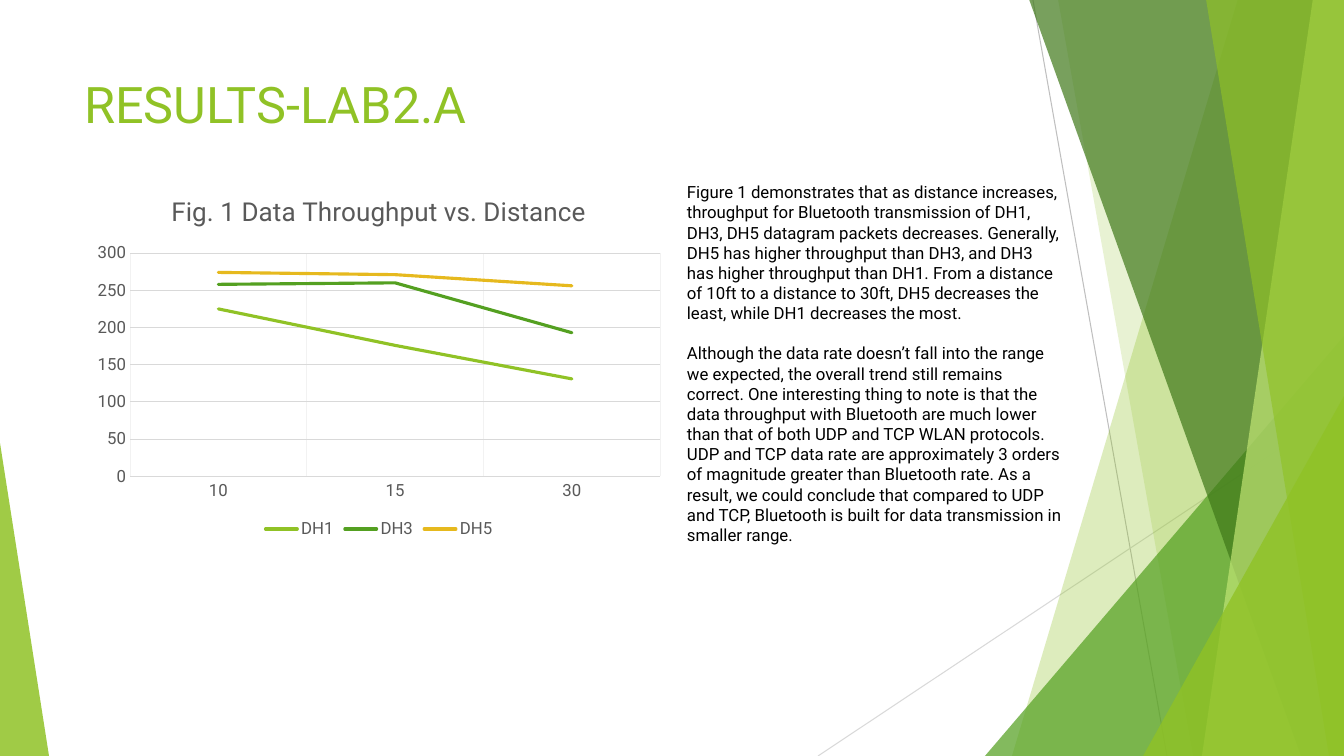
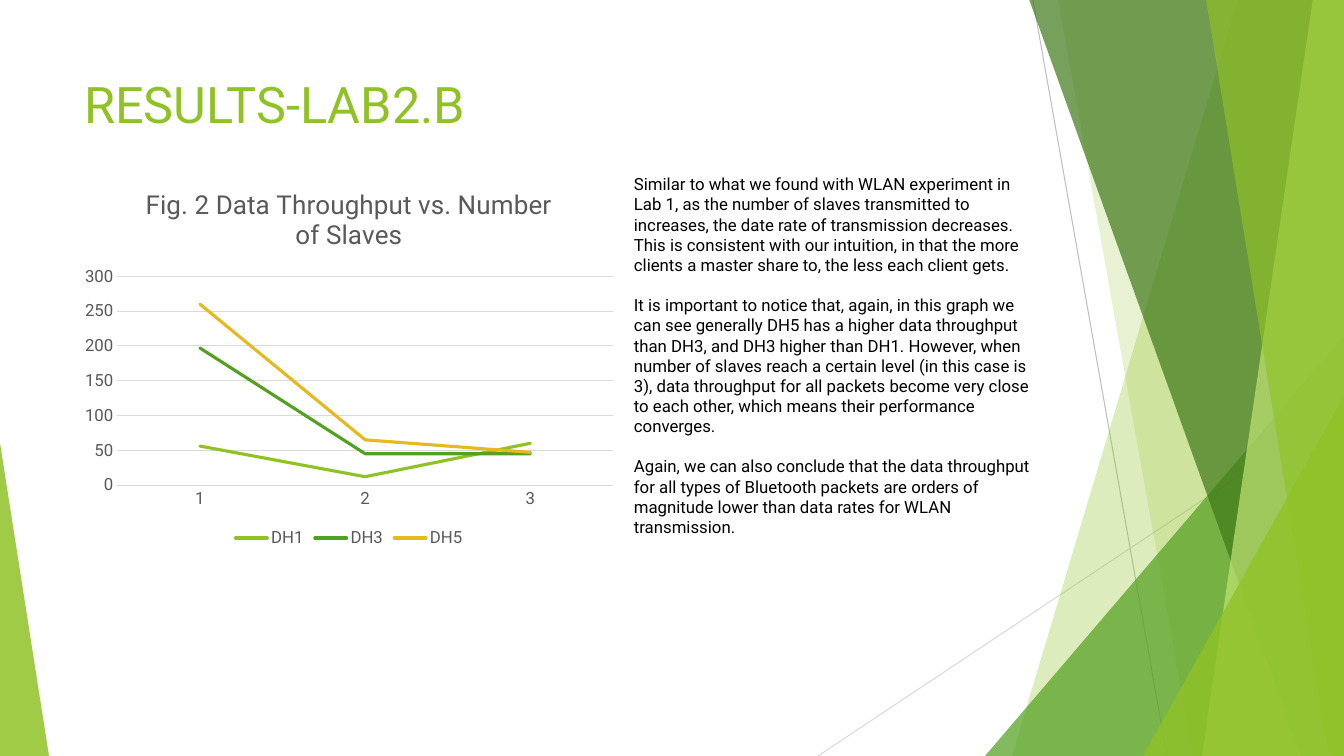
from lxml.etree import SubElement
from pptx import Presentation
from pptx.chart.data import CategoryChartData
from pptx.dml.color import RGBColor
from pptx.enum.chart import XL_CHART_TYPE, XL_LEGEND_POSITION, XL_TICK_MARK
from pptx.enum.shapes import MSO_CONNECTOR, MSO_SHAPE
from pptx.enum.text import MSO_ANCHOR, PP_ALIGN
from pptx.oxml.ns import qn
from pptx.util import Emu, Pt

SCALE = 12192000 / 1344
WIDTH, HEIGHT = 1344, 756
FONT = "Roboto"
LIME = RGBColor(0x90, 0xC2, 0x26)
GREEN = RGBColor(0x54, 0xA0, 0x21)
FOREST = RGBColor(0x3F, 0x78, 0x19)
PALE_LIME = RGBColor(0xC0, 0xE4, 0x74)
GOLD = RGBColor(0xE6, 0xB9, 0x1E)
BLACK = RGBColor(0, 0, 0)
GRAY = RGBColor(0x59, 0x59, 0x59)
RULE_GRAY = RGBColor(0xBF, 0xBF, 0xBF)
GRID_GRAY = RGBColor(0xD9, 0xD9, 0xD9)
FAINT_GRAY = RGBColor(0xF2, 0xF2, 0xF2)


def pixels(*lengths):
    return [Emu(round(length * SCALE)) for length in lengths]


def set_font(font, size, color):
    for name, value in {"name": FONT, "size": Pt(size), "bold": False}.items():
        setattr(font, name, value)
    font.color.rgb = color


RULES = [
    (1033, 0, 1167, 756, RULE_GRAY),
    (1344, 406, 818, 756, GRID_GRAY),
]
FACETS = [
    ("band", (1238, 1012), LIME, 30),
    ("band", (1058, 1193), LIME, 20),
    ("triangle", (985, 336, 359, 420, 1), GREEN, 72),
    ("band", (1029, 1301), FOREST, 70),
    ("band", (1313, 1202), PALE_LIME, 70),
    ("band", (1206, 1329), LIME, 65),
    ("triangle", (1143, 396, 201, 360, 1), LIME, 80),
    ("triangle", (0, 443, 49, 313, 0), LIME, 85),
]
SERIES_COLORS = {"DH1": LIME, "DH3": GREEN, "DH5": GOLD}
RESULTS = [
    {
        "title": "RESULTS-LAB2.A",
        "chart_title": "Fig. 1 Data Throughput vs. Distance",
        "chart_box": (86, 177, 586, 366),
        "category_grid": True,
        "categories": ["10", "15", "30"],
        "values": [(225, 176, 131), (258, 260, 193), (274, 271, 256)],
        "text_box": (677, 177, 396, 377),
        "paragraphs": [
            "Figure 1 demonstrates that as distance increases, throughput for Bluetooth "
            "transmission of DH1, DH3, DH5 datagram packets decreases. Generally, DH5 has "
            "higher throughput than DH3, and DH3 has higher throughput than DH1. From a "
            "distance of 10ft to a distance to 30ft, DH5 decreases the least, while DH1 "
            "decreases the most.",
            "Although the data rate doesn’t fall into the range we expected, the overall "
            "trend still remains correct. One interesting thing to note is that the data "
            "throughput with Bluetooth are much lower than that of both UDP and TCP WLAN "
            "protocols. UDP and TCP data rate are approximately 3 orders of magnitude "
            "greater than Bluetooth rate. As a result, we could conclude that compared to "
            "UDP and TCP, Bluetooth is built for data transmission in smaller range.",
        ],
    },
    {
        "title": "RESULTS-LAB2.B",
        "chart_title": "Fig. 2 Data Throughput vs. Number of Slaves",
        "chart_box": (74, 169, 550, 383),
        "category_grid": False,
        "categories": ["1", "2", "3"],
        "values": [(56, 12, 60), (197, 45, 45), (260, 65, 47)],
        "text_box": (624, 169, 428, 397),
        "paragraphs": [
            "Similar to what we found with WLAN experiment in Lab 1, as the number of "
            "slaves transmitted to increases, the date rate of transmission decreases. "
            "This is consistent with our intuition, in that the more clients a master "
            "share to, the less each client gets.",
            "It is important to notice that, again, in this graph we can see generally "
            "DH5 has a higher data throughput than DH3, and DH3 higher than DH1. However, "
            "when number of slaves reach a certain level (in this case is 3), data "
            "throughput for all packets become very close to each other, which means "
            "their performance converges.",
            "Again, we can also conclude that the data throughput for all types of "
            "Bluetooth packets are orders of magnitude lower than data rates for WLAN "
            "transmission.",
        ],
    },
]

presentation = Presentation()
presentation.slide_width, presentation.slide_height = pixels(WIDTH, HEIGHT)
layout = presentation.slide_layouts[5]
slides = [presentation.slides.add_slide(layout) for result in RESULTS]

shapes = slides[0].shapes
decoration = []
for *ends, color in RULES:
    rule = shapes.add_connector(MSO_CONNECTOR.STRAIGHT, *pixels(*ends))
    rule.line.color.rgb = color
    rule.line.width = Pt(0.75)
    SubElement(rule.element.spPr, qn("a:effectLst"))
    decoration.append(rule)
for kind, geometry, color, opacity in FACETS:
    if kind == "band":
        top_left, bottom_left = geometry
        builder = shapes.build_freeform(top_left, -1, scale=SCALE)
        builder.add_line_segments([(WIDTH, -1), (WIDTH, HEIGHT), (bottom_left, HEIGHT)])
        facet = builder.convert_to_shape()
    else:
        *box, apex = geometry
        facet = shapes.add_shape(MSO_SHAPE.ISOSCELES_TRIANGLE, *pixels(*box))
        facet.adjustments[0] = apex
    facet.shadow.inherit = False
    facet.line.fill.background()
    facet.fill.solid()
    facet.fill.fore_color.rgb = color
    color_element = facet.element.spPr.find(qn("a:solidFill"))[0]
    SubElement(color_element, qn("a:alpha"), val=str(opacity * 1000))
    decoration.append(facet)
for shape in decoration:
    layout.element.cSld.spTree.append(shape.element)

for slide, result in zip(slides, RESULTS):
    title = slide.shapes.title
    title.left, title.top, title.width, title.height = pixels(74, 68, 947, 145)
    title.text_frame.text = result["title"]
    title.text_frame.vertical_anchor = MSO_ANCHOR.TOP
    title_paragraph = title.text_frame.paragraphs[0]
    title_paragraph.alignment = PP_ALIGN.LEFT
    set_font(title_paragraph.runs[0].font, 36, LIME)

    chart_data = CategoryChartData()
    chart_data.categories = result["categories"]
    for name, values in zip(SERIES_COLORS, result["values"]):
        chart_data.add_series(name, values)
    chart = slide.shapes.add_chart(
        XL_CHART_TYPE.LINE, *pixels(*result["chart_box"]), chart_data
    ).chart
    set_font(chart.font, 10, BLACK)
    chart.has_title = True
    chart.chart_title.include_in_layout = False
    chart.chart_title.text_frame.text = result["chart_title"]
    set_font(chart.chart_title.text_frame.paragraphs[0].runs[0].font, 18.6, GRAY)
    chart.has_legend = True
    chart.legend.position = XL_LEGEND_POSITION.BOTTOM
    chart.legend.include_in_layout = False
    set_font(chart.legend.font, 12, GRAY)

    category_axis, value_axis = chart.category_axis, chart.value_axis
    for axis in (category_axis, value_axis):
        axis.major_tick_mark = XL_TICK_MARK.NONE
        axis.minor_tick_mark = XL_TICK_MARK.NONE
        set_font(axis.tick_labels.font, 12, GRAY)
    for name, value in {"minimum_scale": 0, "maximum_scale": 300, "major_unit": 50}.items():
        setattr(value_axis, name, value)
    value_axis.format.line.fill.background()
    category_axis.has_major_gridlines = result["category_grid"]
    chart_lines = [
        (category_axis.format.line, GRID_GRAY),
        (value_axis.major_gridlines.format.line, GRID_GRAY),
    ]
    if result["category_grid"]:
        chart_lines.append((category_axis.major_gridlines.format.line, FAINT_GRAY))
    for line, color in chart_lines:
        line.color.rgb = color
        line.width = Pt(0.75)

    plot = chart.plots[0]
    plot.vary_by_categories = False
    for series in plot.series:
        series.smooth = False
        series.format.line.color.rgb = SERIES_COLORS[series.name]
        series.format.line.width = Pt(2.25)
        series.format.line._ln.set("cap", "rnd")

    text_frame = slide.shapes.add_textbox(*pixels(*result["text_box"])).text_frame
    text_frame.word_wrap = True
    for index, text in enumerate(result["paragraphs"]):
        paragraph = text_frame.add_paragraph() if index else text_frame.paragraphs[0]
        paragraph.space_before = Pt(14.4 if index else 0)
        run = paragraph.add_run()
        run.text = text
        set_font(run.font, 12, BLACK)

presentation.save("out.pptx")
